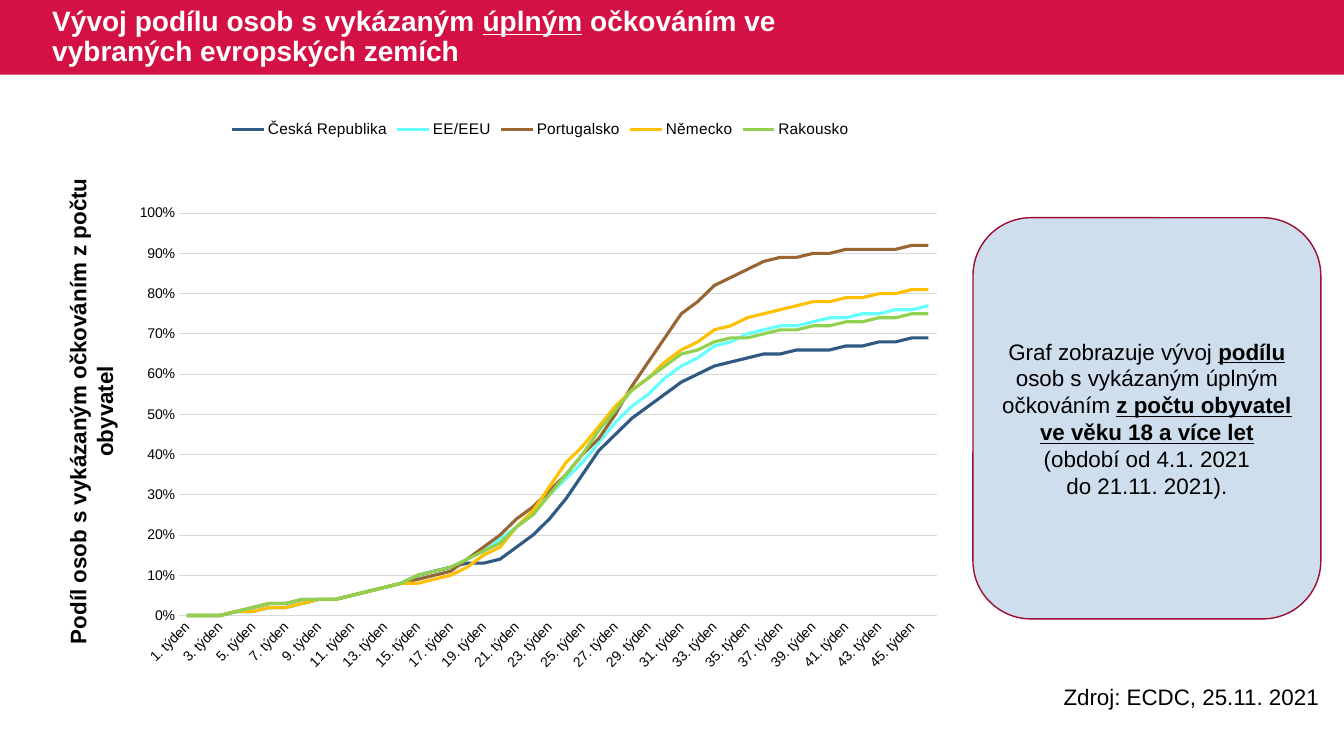
from dataclasses import dataclass
from itertools import pairwise

from lxml import etree
from pptx import Presentation
from pptx.chart.data import CategoryChartData
from pptx.dml.color import RGBColor
from pptx.enum.chart import XL_CHART_TYPE, XL_LEGEND_POSITION, XL_MARKER_STYLE, XL_TICK_MARK
from pptx.enum.shapes import MSO_SHAPE
from pptx.enum.text import MSO_ANCHOR, PP_ALIGN
from pptx.oxml.ns import qn
from pptx.util import Inches, Pt

RECTANGLE = MSO_SHAPE.RECTANGLE
ROUNDED = MSO_SHAPE.ROUNDED_RECTANGLE
LEFT, CENTER = PP_ALIGN.LEFT, PP_ALIGN.CENTER
TOP, MIDDLE = MSO_ANCHOR.TOP, MSO_ANCHOR.MIDDLE
LINE_CHART = XL_CHART_TYPE.LINE
LEGEND_TOP = XL_LEGEND_POSITION.TOP
NO_MARKER = XL_MARKER_STYLE.NONE
NO_TICK = XL_TICK_MARK.NONE

BLACK = RGBColor.from_string("000000")
WHITE = RGBColor.from_string("FFFFFF")
CRIMSON = RGBColor.from_string("D31145")
DARK_RED = RGBColor.from_string("9C0D33")
PALE_BLUE = RGBColor.from_string("CFDEED")
GRID_GRAY = RGBColor.from_string("D9D9D9")
NAVY = RGBColor.from_string("305983")
CYAN = RGBColor.from_string("66FFFF")
BROWN = RGBColor.from_string("996633")
AMBER = RGBColor.from_string("FFC000")
GREEN = RGBColor.from_string("92D050")
FONT = "Arial"


@dataclass(frozen=True)
class Span:
    text: str
    bold: bool = False
    underline: bool = False


@dataclass(frozen=True)
class Country:
    name: str
    color: RGBColor
    key_percents: list[int]


KEY_WEEKS = [1, 3, 6, 10, 13, 17, 20, 22, 24, 26, 28, 31, 33, 36, 39, 46]
COUNTRIES = [
    Country("Česká Republika", NAVY, [0, 0, 2, 4, 7, 12, 14, 20, 29, 41, 49, 58, 62, 65, 66, 69]),
    Country("EE/EEU", CYAN, [0, 0, 2, 4, 7, 11, 19, 26, 34, 43, 52, 62, 67, 71, 73, 77]),
    Country("Portugalsko", BROWN, [0, 0, 3, 4, 7, 11, 20, 27, 35, 44, 57, 75, 82, 88, 90, 92]),
    Country("Německo", AMBER, [0, 0, 2, 4, 7, 10, 17, 26, 38, 47, 56, 66, 71, 75, 78, 81]),
    Country("Rakousko", GREEN, [0, 0, 3, 4, 7, 12, 18, 25, 35, 46, 56, 65, 68, 70, 72, 75]),
]
PLOT_AREA = {"x": 0.073, "y": 0.174, "w": 0.895, "h": 0.671}

TITLE = [[
    Span("Vývoj podílu osob s vykázaným ", bold=True),
    Span("úplným", bold=True, underline=True),
    Span(" očkováním ve vybraných evropských zemích", bold=True),
]]
AXIS_TITLE = [[Span("Podíl osob s vykázaným očkováním z počtu obyvatel", bold=True)]]
SOURCE = [[Span("Zdroj: ECDC, 25.11. 2021")]]
NOTE = [
    [
        Span("Graf zobrazuje vývoj "),
        Span("podílu", bold=True, underline=True),
        Span(" osob s vykázaným úplným očkováním "),
        Span("z počtu obyvatel ve věku 18 a více let", bold=True, underline=True),
    ],
    [Span("(období od 4.1. 2021")],
    [Span("do 21.11. 2021).")],
]


def inches(*lengths: float) -> list[Inches]:
    return [Inches(length) for length in lengths]


def weekly_shares(country: Country) -> list[float]:
    """Fill the weeks between the key weeks evenly, to whole percents."""
    shares = [country.key_percents[0] / 100]
    for (week, percent), (next_week, next_percent) in pairwise(zip(KEY_WEEKS, country.key_percents)):
        steps = next_week - week
        for step in range(1, steps + 1):
            shares.append(round(percent + (next_percent - percent) * step / steps) / 100)
    return shares


def write(shape, paragraphs: list[list[Span]], size: int = 16, color: RGBColor = BLACK,
          align=LEFT, anchor=TOP, spacing: float = 1.0) -> None:
    frame = shape.text_frame
    frame.word_wrap = True
    frame.vertical_anchor = anchor
    for index, spans in enumerate(paragraphs):
        para = frame.add_paragraph() if index else frame.paragraphs[0]
        para.alignment = align
        para.line_spacing = spacing
        for span in spans:
            run = para.add_run()
            run.text = span.text
            style_font(run.font, size, color)
            run.font.bold, run.font.underline = span.bold, span.underline


def add_panel(page, kind, box: list[Inches], fill: RGBColor, line: RGBColor | None = None):
    panel = page.shapes.add_shape(kind, *box)
    panel.shadow.inherit = False
    panel.fill.solid()
    panel.fill.fore_color.rgb = fill
    if line is None:
        panel.line.fill.background()
    else:
        style_line(panel.line, line, 1)
    return panel


def style_font(font, size: int, color: RGBColor = BLACK) -> None:
    font.name, font.size, font.color.rgb = FONT, Pt(size), color


def style_line(line, color: RGBColor, width: float) -> None:
    line.color.rgb = color
    line.width = Pt(width)


def fix_plot_area(chart) -> None:
    """Place the inner plot area at fixed fractions of the chart."""
    plot_area = chart._chartSpace.chart.plotArea
    for old in plot_area.findall(qn("c:layout")):
        plot_area.remove(old)
    layout = etree.Element(qn("c:layout"))
    manual = etree.SubElement(layout, qn("c:manualLayout"))
    settings = {"layoutTarget": "inner", "xMode": "edge", "yMode": "edge", **PLOT_AREA}
    for tag, value in settings.items():
        etree.SubElement(manual, qn(f"c:{tag}")).set("val", str(value))
    plot_area.insert(0, layout)


def add_vaccination_chart(page) -> None:
    data = CategoryChartData(number_format="0%")
    data.categories = [f"{week}. týden" for week in range(1, KEY_WEEKS[-1] + 1)]
    for country in COUNTRIES:
        data.add_series(country.name, weekly_shares(country))
    chart = page.shapes.add_chart(LINE_CHART, *inches(1.16, 1.08, 8.4, 5.95), data).chart
    chart.has_title = False
    style_font(chart.font, 10)
    fix_plot_area(chart)

    chart.has_legend = True
    chart.legend.position = LEGEND_TOP
    chart.legend.include_in_layout = False
    style_font(chart.legend.font, 11)

    plot = chart.plots[0]
    plot.vary_by_categories = False
    for series, country in zip(plot.series, COUNTRIES):
        series.smooth = False
        series.marker.style = NO_MARKER
        style_line(series.format.line, country.color, 2.25)

    weeks, shares = chart.category_axis, chart.value_axis
    for axis in (weeks, shares):
        axis.major_tick_mark = axis.minor_tick_mark = NO_TICK
        style_font(axis.tick_labels.font, 10)
    style_line(weeks.format.line, GRID_GRAY, 0.75)
    label_body = weeks._element.find(qn("c:txPr")).find(qn("a:bodyPr"))
    label_body.set("rot", "-2700000")

    shares.minimum_scale, shares.maximum_scale, shares.major_unit = 0, 1, 0.1
    shares.tick_labels.number_format = "0%"
    shares.tick_labels.number_format_is_linked = False
    shares.format.line.fill.background()
    style_line(shares.major_gridlines.format.line, GRID_GRAY, 0.75)


def main() -> None:
    deck = Presentation()
    deck.slide_width, deck.slide_height = inches(13.33, 7.5)
    page = deck.slides.add_slide(deck.slide_layouts[6])
    add_panel(page, RECTANGLE, inches(0, 0, 13.33, 0.74), CRIMSON)
    write(page.shapes.add_textbox(*inches(10.45, 6.73, 3.13, 0.37)), SOURCE)
    add_vaccination_chart(page)
    axis_title = page.shapes.add_textbox(*inches(-1.54, 3.76, 4.89, 0.64))
    axis_title.rotation = 270
    write(axis_title, AXIS_TITLE, align=CENTER)
    title = page.shapes.add_textbox(*inches(0.42, 0, 8.16, 0.74))
    write(title, TITLE, size=20, color=WHITE, anchor=MIDDLE, spacing=0.9)
    note = add_panel(page, ROUNDED, inches(9.65, 2.16, 3.45, 3.98), PALE_BLUE, DARK_RED)
    write(note, NOTE, align=CENTER, anchor=MIDDLE)
    deck.save("out.pptx")


if __name__ == "__main__":
    main()
